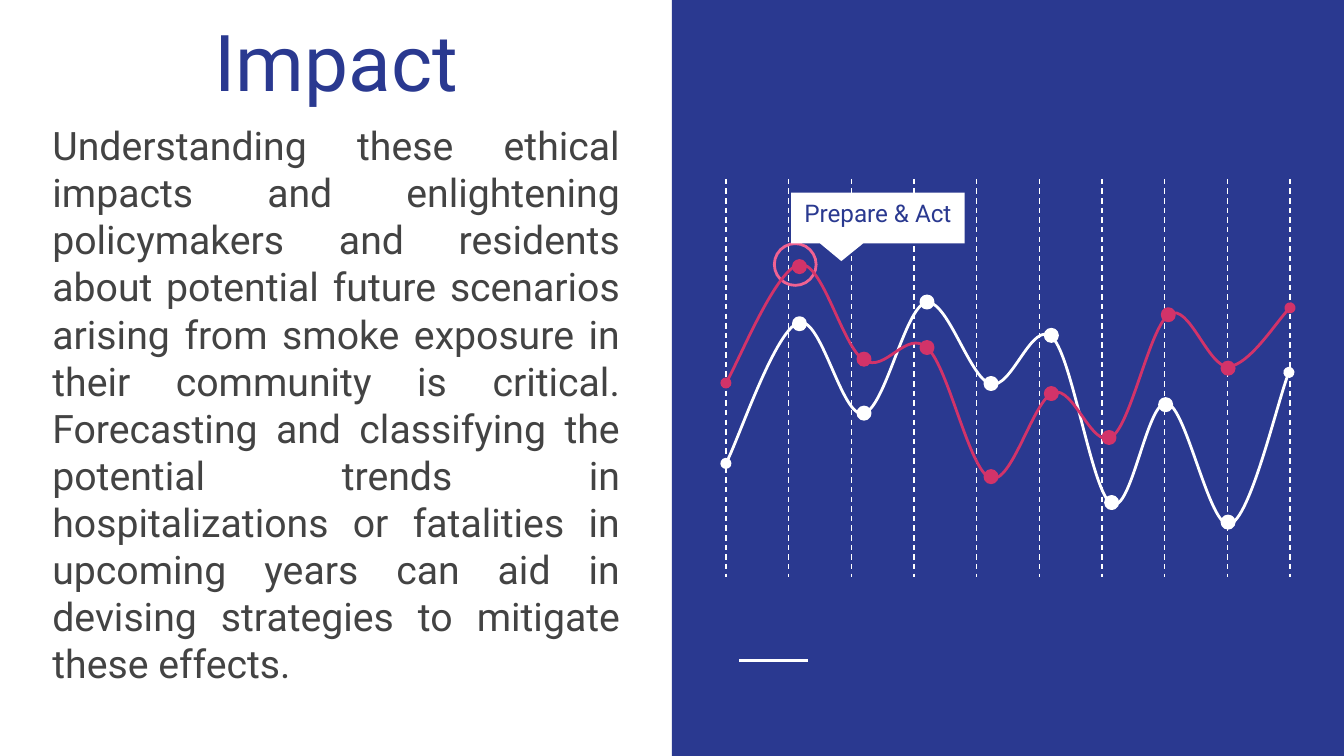
from dataclasses import dataclass
from itertools import pairwise

from lxml.etree import SubElement
from pptx import Presentation
from pptx.dml.color import RGBColor as Rgb
from pptx.enum.dml import MSO_LINE as Dash
from pptx.enum.shapes import MSO_CONNECTOR as Link, MSO_SHAPE as Preset
from pptx.enum.text import MSO_ANCHOR as Anchor, MSO_AUTO_SIZE as Fit, PP_ALIGN as Align
from pptx.oxml.ns import qn
from pptx.util import Cm, Pt


@dataclass(frozen=True)
class Theme:
    """Colours, type and line weights of the deck."""
    navy: Rgb = Rgb(0x2A, 0x39, 0x90)
    white: Rgb = Rgb(0xFF, 0xFF, 0xFF)
    grey: Rgb = Rgb(0x43, 0x43, 0x43)
    crimson: Rgb = Rgb(0xD2, 0x33, 0x69)
    pink: Rgb = Rgb(0xF0, 0x62, 0x92)
    font: str = "Roboto"
    title_size: int = 42
    body_size: int = 21
    label_size: int = 13
    thin: float = 0.75
    thick: float = 1.5


class Painter:
    """Draws themed elements on one page, with lengths in centimetres."""

    def __init__(self, page, theme):
        """Keep the page and its theme."""
        self.page = page
        self.theme = theme

    def text(self, box, frame, words, size, color, align, anchor, spacing=1.0):
        """Place, fill and format a placeholder, in front of what is drawn so far."""
        box.left, box.top, box.width, box.height = map(Cm, frame)
        self.page.shapes._spTree.append(box._element)
        area = box.text_frame
        area.text = words
        area.word_wrap = True
        area.auto_size = Fit.NONE
        area.vertical_anchor = anchor
        area.margin_left = area.margin_right = Cm(0.25)
        area.margin_top = area.margin_bottom = Cm(0.25)
        para = area.paragraphs[0]
        para.alignment = align
        para.line_spacing = spacing
        para.space_before = Pt(0)
        para.font.name = self.theme.font
        para.font.size = Pt(size)
        para.font.color.rgb = color
        props = para._p.get_or_add_pPr()
        props.set("marL", "0")
        props.set("indent", "0")
        props.insert_element_before(props.makeelement(qn("a:buNone")), "a:tabLst", "a:defRPr")

    def paint(self, shape, fill=None, stroke=None):
        """Set fill and outline, leaving out whichever is not given."""
        shape.shadow.inherit = False
        if fill is None:
            shape.fill.background()
        else:
            shape.fill.solid()
            shape.fill.fore_color.rgb = fill
        if stroke is None:
            shape.line.fill.background()
        else:
            shape.line.color.rgb = stroke
            shape.line.width = Pt(self.theme.thick)

    def shape(self, preset, frame, fill=None, stroke=None):
        """Add a preset shape."""
        shape = self.page.shapes.add_shape(preset, *map(Cm, frame))
        self.paint(shape, fill, stroke)
        return shape

    def circle(self, x, y, size, fill=None, stroke=None):
        """Add a circle around a centre."""
        self.shape(Preset.OVAL, (x - size / 2, y - size / 2, size, size), fill, stroke)

    def line(self, start, end, width, dash=None):
        """Add a straight white line."""
        line = self.page.shapes.add_connector(Link.STRAIGHT, *map(Cm, (*start, *end)))
        line.line.color.rgb = self.theme.white
        line.line.width = Pt(width)
        if dash:
            line.line.dash_style = dash
        SubElement(line._element.spPr, qn("a:effectLst"))

    def curve(self, knots, color):
        """Add a smooth curve through knots (x, y, dx, dy) with round ends."""
        start, *rest = [(Cm(x), Cm(y)) for x, y, *_ in knots]
        builder = self.page.shapes.build_freeform(*start)
        builder.add_line_segments(rest, close=False)
        shape = builder.convert_to_shape()
        self.paint(shape, stroke=color)
        segments = list(shape._element.iter(qn("a:lnTo")))
        for segment, (begin, end) in zip(segments, pairwise(knots)):
            ax, ay, adx, ady = begin
            bx, by, bdx, bdy = end
            segment.tag = qn("a:cubicBezTo")
            segment.clear()
            for x, y in ((ax + adx, ay + ady), (bx - bdx, by - bdy), (bx, by)):
                SubElement(segment, qn("a:pt"), x=str(Cm(x) - shape.left), y=str(Cm(y) - shape.top))
        outline = shape.line._get_or_add_ln()
        for end in ("a:headEnd", "a:tailEnd"):
            SubElement(outline, qn(end), type="oval")

    def series(self, knots, dots, color):
        """Add a curve and its data dots."""
        self.curve(knots, color)
        for x, y in dots:
            self.circle(x, y, 0.23, color, color)


WHITE_KNOTS = [
    (13.72, 8.76, 0.23, -0.43), (15.09, 6.1, 0.43, -0.15),
    (16.31, 7.82, 0.41, -0.06), (17.5, 5.72, 0.4, -0.09),
    (18.72, 7.26, 0.4, 0.12), (19.89, 6.38, 0.38, 0.37),
    (21.01, 9.53, 0.37, 0.2), (22.05, 7.62, 0.37, 0.06),
    (23.24, 9.91, 0.38, -0.09), (24.36, 7.04, 0.2, -0.48),
]
WHITE_DOTS = [
    (15.11, 6.12), (16.33, 7.81), (17.52, 5.71), (18.73, 7.25),
    (19.87, 6.34), (21.01, 9.5), (22.03, 7.65), (23.21, 9.87),
]
CRIMSON_KNOTS = [
    (13.72, 7.24, 0.23, -0.38), (15.11, 5, 0.43, -0.08),
    (16.33, 6.81, 0.41, 0.25), (17.53, 6.58, 0.4, 0.37),
    (18.72, 9.04, 0.4, 0.14), (19.91, 7.42, 0.38, -0.13),
    (21.01, 8.26, 0.37, -0.24), (22.1, 5.94, 0.37, -0.23),
    (23.22, 6.93, 0.38, -0.03), (24.38, 5.82, 0.2, -0.18),
]
CRIMSON_DOTS = [
    (15.11, 5.04), (16.33, 6.79), (17.52, 6.57), (18.73, 9.01),
    (19.87, 7.44), (20.96, 8.27), (22.08, 5.95), (23.21, 6.96),
]
BODY = (
    "Understanding these ethical impacts and enlightening policymakers and residents "
    "about potential future scenarios arising from smoke exposure in their community "
    "is critical. Forecasting and classifying the potential trends in hospitalizations "
    "or fatalities in upcoming years can aid in devising strategies to mitigate these effects."
)


def main():
    """Build the impact slide."""
    theme = Theme()
    deck = Presentation()
    deck.slide_width, deck.slide_height = Cm(25.4), Cm(14.29)
    page = deck.slides.add_slide(deck.slide_layouts.get_by_name("Two Content"))
    title, body, label = list(page.placeholders)[:3]
    painter = Painter(page, theme)

    painter.shape(Preset.RECTANGLE, (12.7, 0, 12.7, 14.29), theme.navy)
    painter.line((13.97, 12.49), (15.27, 12.49), theme.thick)
    first, last, count = 13.72, 24.38, 10
    for index in range(count):
        x = first + index * (last - first) / (count - 1)
        painter.line((x, 3.38), (x, 10.9), theme.thin, Dash.DASH)
    painter.circle(15.03, 5, 0.79, stroke=theme.pink)

    painter.text(title, (0.74, 0, 11.23, 2.27), "Impact", theme.title_size, theme.navy,
                 Align.CENTER, Anchor.BOTTOM)
    painter.text(body, (0.74, 2.05, 11.23, 11.51), BODY, theme.body_size, theme.grey,
                 Align.JUSTIFY, Anchor.TOP)

    painter.series(WHITE_KNOTS, WHITE_DOTS, theme.white)
    callout = painter.shape(Preset.ROUNDED_RECTANGULAR_CALLOUT, (14.95, 3.64, 3.28, 0.96),
                            theme.white)
    for index, value in enumerate((-0.21, 0.85, 0)):
        callout.adjustments[index] = value
    painter.series(CRIMSON_KNOTS, CRIMSON_DOTS, theme.crimson)
    painter.text(label, (14.75, 3.58, 3.68, 0.79), "Prepare & Act", theme.label_size, theme.navy,
                 Align.CENTER, Anchor.MIDDLE, 1.15)
    deck.save("out.pptx")


if __name__ == "__main__":
    main()
